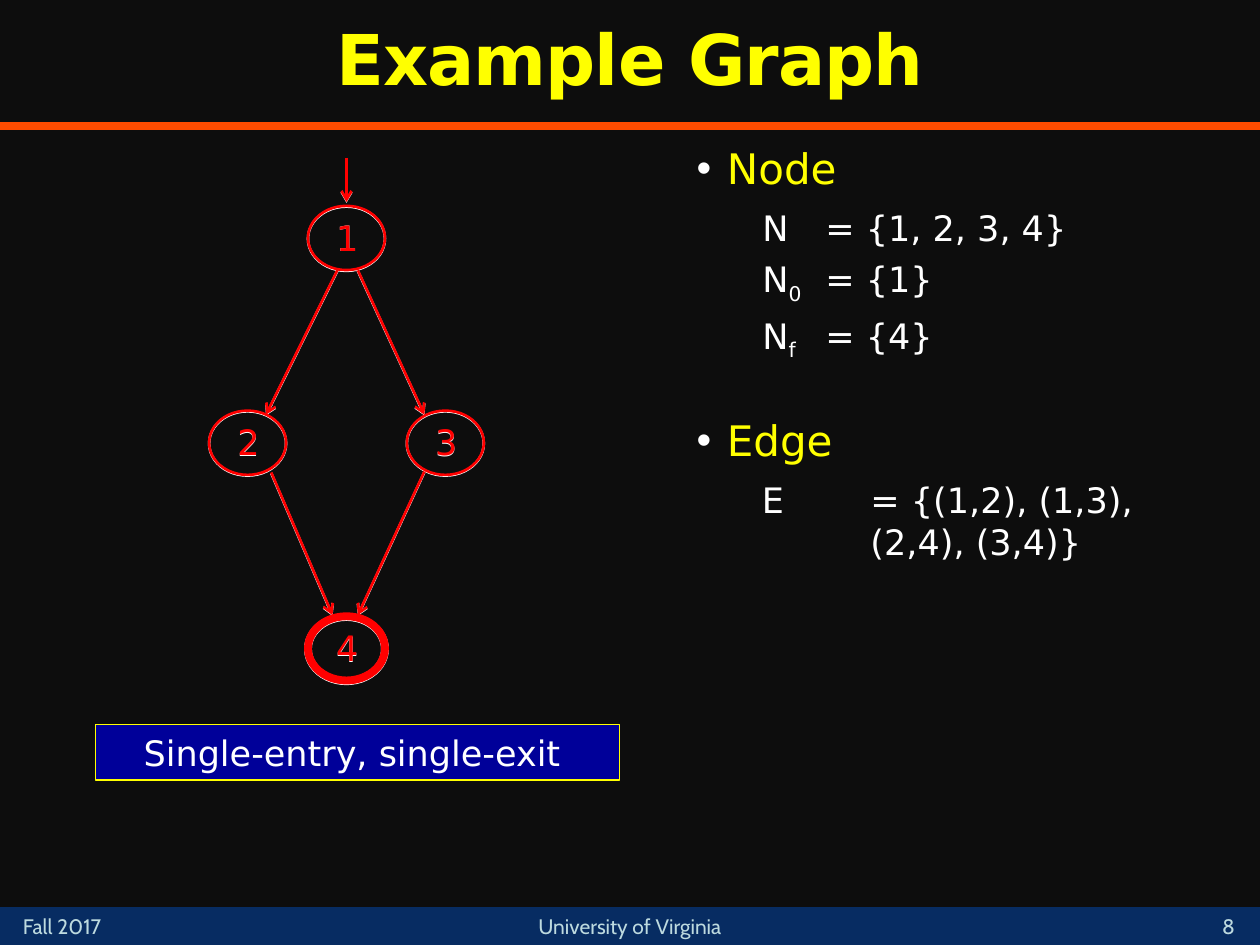
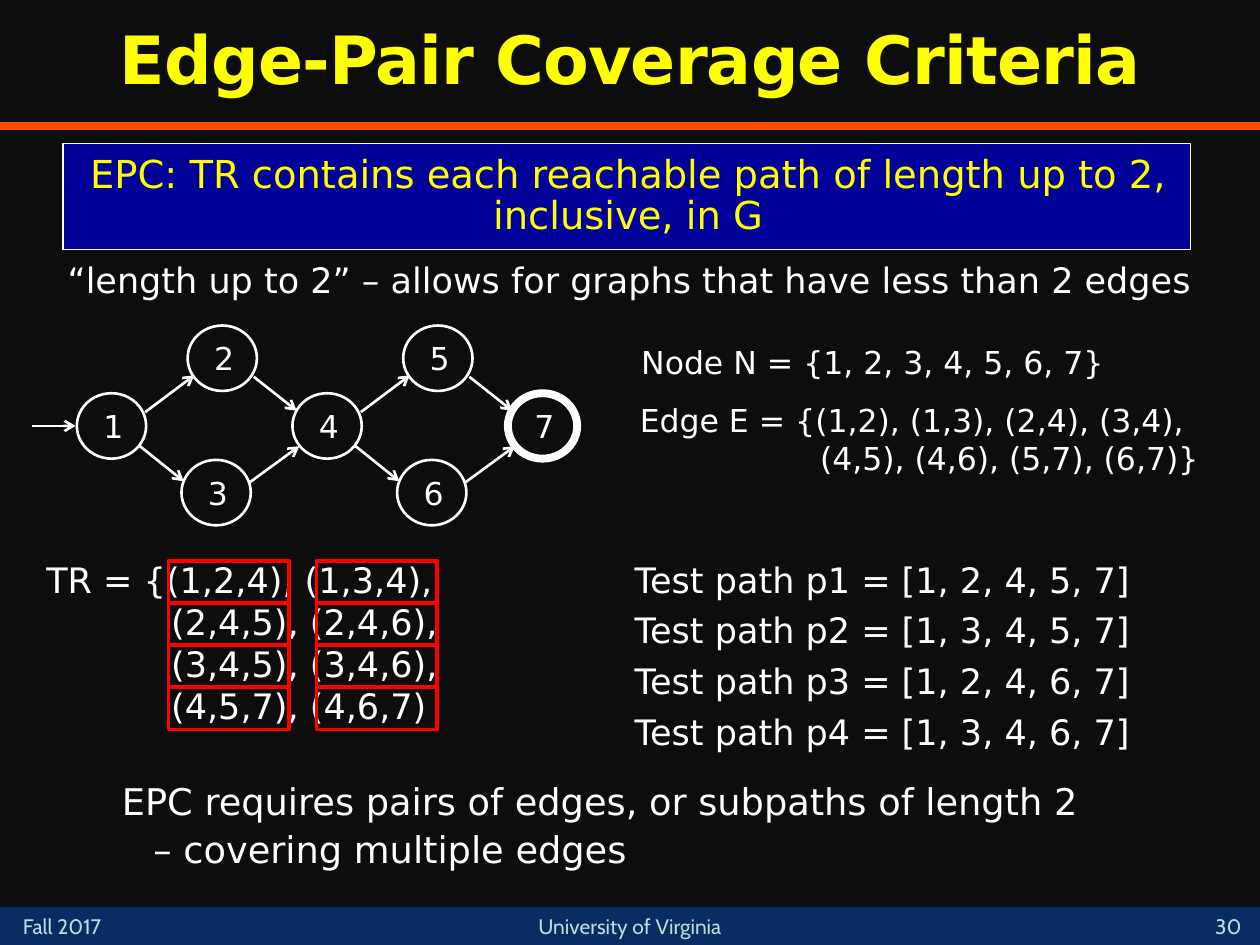
import pptx
import pptx.util
import pptx.dml.color
import pptx.enum.shapes
import pptx.enum.text
import pptx.oxml.ns
from lxml import etree

Pt = pptx.util.Pt
RGB = pptx.dml.color.RGBColor
SHAPE = pptx.enum.shapes.MSO_SHAPE
ANCHOR = pptx.enum.text.MSO_ANCHOR
ALIGN = pptx.enum.text.PP_ALIGN
qn = pptx.oxml.ns.qn

BLACK = RGB(0x0D, 0x0D, 0x0D)
NAVY = RGB(0x07, 0x2C, 0x62)
BLUE = RGB(0x00, 0x00, 0x99)
ORANGE = RGB(0xFF, 0x4C, 0x00)
YELLOW = RGB(0xFF, 0xFF, 0x00)
WHITE = RGB(0xFF, 0xFF, 0xFF)
RED = RGB(0xFF, 0x00, 0x00)
PALE = RGB(0xBD, 0xDA, 0xDF)


class Deck:
    face = "DejaVu Sans"
    small = "Cabin"

    def __init__(self):
        self.show = pptx.Presentation()
        self.show.slide_width = Pt(720)
        self.show.slide_height = Pt(540)
        self.slide = None

    def page(self, title, size, number):
        self.slide = self.show.slides.add_slide(self.show.slide_layouts[1])
        ground = self.slide.background.fill
        ground.solid()
        ground.fore_color.rgb = BLACK
        self.shape(SHAPE.RECTANGLE, 0, 518.4, 720, 21.6, fill=NAVY)
        self.line(0, 72, 720, 72, ORANGE, 4.5, arrow=False)
        for words, left, top, width, high, align in (
            ("Fall 2017", 6, 518.4, 84, 21.6, ALIGN.LEFT),
            (number, 684, 516.5, 36, 23.5, ALIGN.CENTER),
            ("University of Virginia", 264, 518.4, 192, 21.6, ALIGN.CENTER),
        ):
            frame = self.box(left, top, width, high)
            if words == number:
                frame.vertical_anchor = ANCHOR.BOTTOM
            self.para(frame, words, 12, PALE, align=align, face=self.small)
        frame = self.place(self.slide.shapes.title, 0, 0, 720, 72)
        frame.vertical_anchor = ANCHOR.MIDDLE
        para = self.para(frame, title, size, YELLOW, align=ALIGN.CENTER, lead=0.9)
        for run in para.runs:
            run.font.bold = True
            run.font._rPr.set("spc", "-50")

    def place(self, holder, left, top, width, high):
        holder.left, holder.top = Pt(left), Pt(top)
        holder.width, holder.height = Pt(width), Pt(high)
        frame = holder.text_frame
        frame.auto_size = pptx.enum.text.MSO_AUTO_SIZE.NONE
        frame.word_wrap = True
        return frame

    def body(self, left, top, width, high):
        return self.place(self.slide.placeholders[1], left, top, width, high)

    def box(self, left, top, width, high, wrap=True):
        item = self.slide.shapes.add_textbox(Pt(left), Pt(top), Pt(width), Pt(high))
        item.text_frame.word_wrap = wrap
        return item.text_frame

    def para(self, frame, words, size, hue, left=0, hang=0, before=0, after=0,
             lead=None, align=ALIGN.LEFT, level=0, mark=None, stop=None, face=None):
        para = frame.paragraphs[0] if not frame.text else frame.add_paragraph()
        bits = words.split("|")
        para.text = bits[0]
        for bit in bits[1:]:
            para.add_run().text = bit
        for rank, run in enumerate(para.runs):
            run.font.size = Pt(size)
            run.font.name = face or self.face
            run.font.color.rgb = hue
            if rank % 2:
                run.font._rPr.set("baseline", "-25000")
        para.alignment = align
        para.level = level
        para.space_before = Pt(before)
        para.space_after = Pt(after)
        if lead:
            para.line_spacing = lead
        props = para._p.get_or_add_pPr()
        props.set("marL", str(Pt(left)))
        props.set("indent", str(Pt(hang)))
        if mark:
            tint = etree.SubElement(props, qn("a:buClr"))
            etree.SubElement(tint, qn("a:srgbClr"), val=str(WHITE))
            etree.SubElement(props, qn("a:buChar"), char=mark)
        else:
            etree.SubElement(props, qn("a:buNone"))
        if stop:
            tabs = etree.SubElement(props, qn("a:tabLst"))
            etree.SubElement(tabs, qn("a:tab"), pos=str(Pt(stop)), algn="l")
        return para

    def paint(self, item, fill=None, edge=None, weight=0.75):
        if fill is None:
            item.fill.background()
        else:
            item.fill.solid()
            item.fill.fore_color.rgb = fill
        if edge is None:
            item.line.fill.background()
        else:
            item.line.color.rgb = edge
            item.line.width = Pt(weight)

    def shape(self, kind, left, top, width, high, fill=None, edge=None, weight=0.75):
        item = self.slide.shapes.add_shape(kind, Pt(left), Pt(top), Pt(width), Pt(high))
        item.shadow.inherit = False
        self.paint(item, fill, edge, weight)
        return item

    def line(self, x1, y1, x2, y2, hue, weight=1.5, arrow=True):
        item = self.slide.shapes.add_connector(
            pptx.enum.shapes.MSO_CONNECTOR.STRAIGHT, Pt(x1), Pt(y1), Pt(x2), Pt(y2))
        item.line.color.rgb = hue
        item.line.width = Pt(weight)
        if arrow:
            etree.SubElement(item.line._get_or_add_ln(), qn("a:tailEnd"), type="arrow")
        etree.SubElement(item._element.spPr, qn("a:effectLst"))

    def node(self, label, x, y, width, high, size, hue, weight=1.5):
        self.shape(SHAPE.OVAL, x - width / 2, y - high / 2, width, high,
                   edge=hue, weight=weight)
        wide, tall = size * 1.36, size * 1.6
        frame = self.box(x - wide / 2 + 0.5, y - tall / 2, wide, tall, wrap=False)
        self.para(frame, str(label), size, hue, align=ALIGN.CENTER)


def graph(deck):
    deck.page("Example Graph", 40, "8")
    nodes = ((1, 198, 136, 1.5), (2, 141.5, 253, 1.5),
             (3, 254.5, 253, 1.5), (4, 198, 370.5, 4.5))
    edges = ((193, 154, 152, 237), (155, 270, 190, 351.5),
             (242.5, 269.5, 204.5, 351.5), (204.5, 154.5, 242.5, 237),
             (198, 90, 198, 115.5))
    for hue, drop in ((WHITE, 0.4), (RED, 0)):
        for label, x, y, weight in nodes:
            deck.node(label, x, y + drop, 44, 36.7, 20, hue, weight)
        for x1, y1, x2, y2 in edges:
            deck.line(x1, y1 + drop, x2, y2 + drop, hue)

    frame = deck.body(390.2, 77.8, 293, 396)
    head = dict(size=24, hue=YELLOW, left=18, hang=-17.3, after=3, mark="•")
    sub = dict(size=20, hue=WHITE, before=5, level=1, stop=72)
    deck.para(frame, "Node", before=20, **head)
    for words in ("N\t= {1, 2, 3, 4}", "N|0|\t= {1}", "N|f|\t= {4}"):
        deck.para(frame, words, left=38.2, **sub)
    deck.para(frame, "Edge", before=30, **head)
    deck.para(frame, "E\t= {(1,2), (1,3), (2,4), (3,4)}", left=100, hang=-62, **sub)

    note = deck.shape(SHAPE.RECTANGLE, 54.7, 414, 299.5, 31.7, BLUE, YELLOW)
    deck.para(note.text_frame, "Single-entry, single-exit ", 20, WHITE,
              align=ALIGN.CENTER)


def pairs(deck):
    deck.page("Edge-Pair Coverage Criteria", 38, "30")
    frame = deck.body(36, 82, 644.4, 60.5)
    deck.paint(deck.slide.placeholders[1], BLUE, WHITE)
    frame.vertical_anchor = ANCHOR.MIDDLE
    deck.para(frame, "EPC: TR contains each reachable path of length up to 2, "
              "inclusive, in G", 22, YELLOW, left=1.4, before=30, lead=0.9,
              align=ALIGN.CENTER)

    frame = deck.box(30.2, 144, 674.6, 46.8)
    deck.para(frame, "“length up to 2” – allows for graphs that have less than 2 edges",
              20, WHITE, left=1.4, before=30)

    frame = deck.box(18, 315.4, 300, 118.8)
    deck.para(frame, "TR = {(1,2,4), (1,3,4), (2,4,5), (2,4,6), (3,4,5), (3,4,6), "
              "(4,5,7), (4,6,7)", 20, WHITE, left=72.7, hang=-71.3, before=30)

    frame = deck.box(353.5, 192.2, 360.7, 137.5)
    deck.para(frame, "Node N = {1, 2, 3, 4, 5, 6, 7}", 18, WHITE, left=5.8, before=12)
    deck.para(frame, "Edge E = {(1,2), (1,3), (2,4), (3,4), (4,5), (4,6), (5,7), (6,7)}",
              18, WHITE, left=108, hang=-103, before=12)

    frame = deck.box(354.2, 315.4, 342, 118.8)
    for rank, way in enumerate(("1, 2, 4, 5, 7", "1, 3, 4, 5, 7",
                                "1, 2, 4, 6, 7", "1, 3, 4, 6, 7"), 1):
        deck.para(frame, f"Test path p{rank} = [{way}]", 20, WHITE, left=1.4, before=5)

    frame = deck.box(61.2, 444.2, 616.3, 44.6)
    deck.para(frame, "EPC requires pairs of edges, or subpaths of length 2",
              21, WHITE, left=1.4, before=30, lead=0.9)
    deck.para(frame, "– covering multiple edges", 21, WHITE, left=19.4, before=5, lead=0.9)

    oval = dict(width=39.6, high=37.4, size=18, hue=WHITE)
    deck.line(18, 243.4, 43.2, 243.4, WHITE)
    for first, shift in ((1, 0), (4, 123.2)):
        for label, (x, y) in enumerate(((63.7, 243.4), (127, 204.7), (123.5, 281.5)), first):
            deck.node(label, x + shift, y, **oval)
        for x1, y1, x2, y2 in ((83, 235.5, 111, 214.5), (80, 255, 105, 275),
                               (145, 215.3, 169.5, 234.7), (142.5, 275.8, 171, 255)):
            deck.line(x1 + shift, y1, x2 + shift, y2, WHITE)
    deck.node(7, 310, 243.4, weight=4.5, **oval)

    for row in range(4):
        for col in range(2):
            deck.shape(SHAPE.RECTANGLE, 96.3 + col * 84.6, 320.4 + row * 24, 69.1, 24.5,
                       edge=RED, weight=2.25)


deck = Deck()
graph(deck)
pairs(deck)
deck.show.save("out.pptx")
